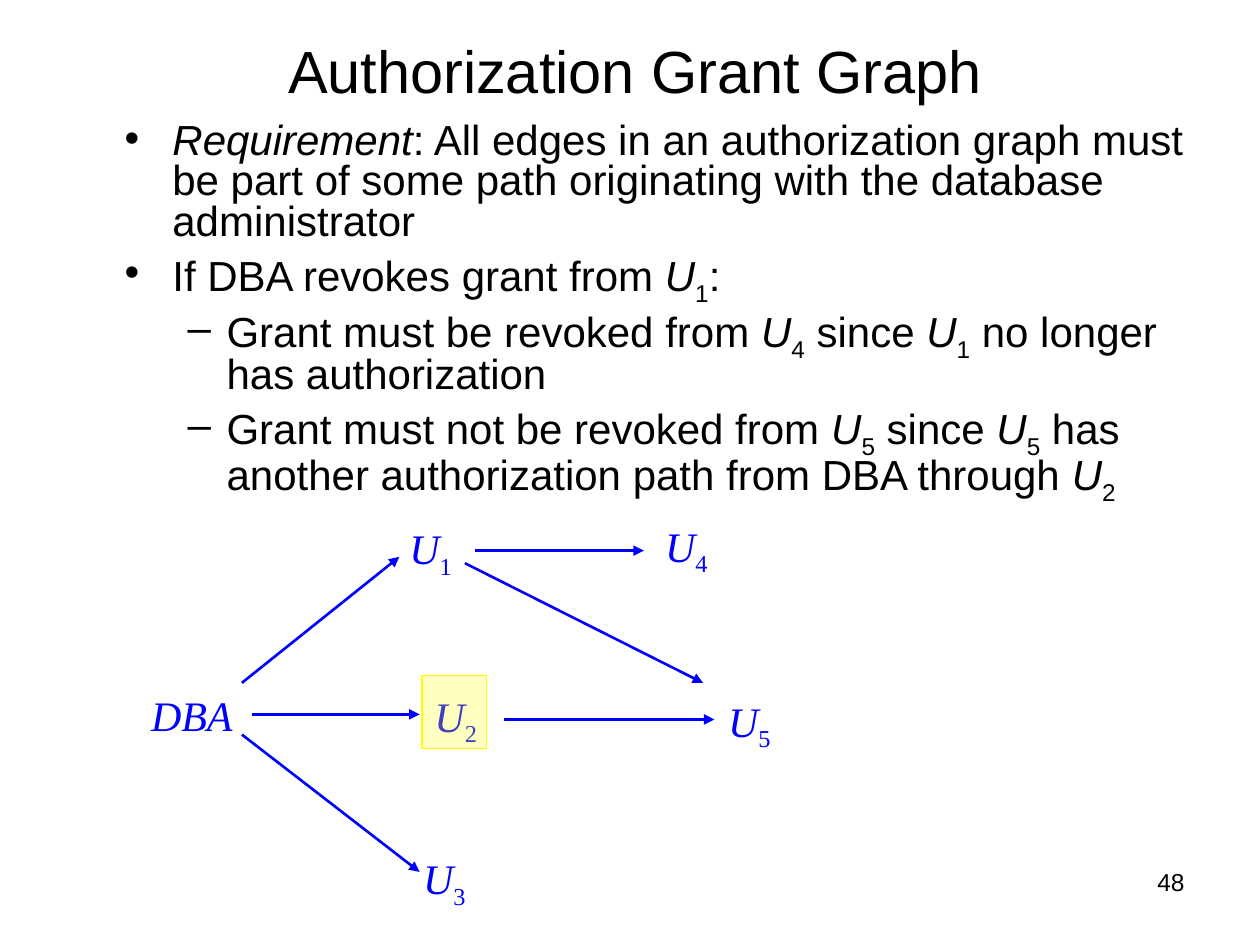
from typing import NamedTuple

from lxml import etree
from pptx import Presentation, util as u
from pptx.dml import color
from pptx.enum import shapes, text
from pptx.oxml import ns

HUES = {"ink": "000000", "graph": "0000FF", "mark": "FFFF00"}


class Item(NamedTuple):
    """One paragraph; in its words, | parts runs, * is italic, _ subscript."""
    words: str
    level: int = 0
    bullet: str = ""


class Node(NamedTuple):
    label: str
    left: float
    top: float
    width: float = 0.54
    height: float = 0.56


class Edge(NamedTuple):
    x1: float
    y1: float
    x2: float
    y2: float


INDENTS = ((0.38, -0.38), (0.81, -0.31))
ITEMS = [
    Item("*Requirement|: All edges in an authorization graph must be part of "
         "some path originating with the database administrator", 0, "•"),
    Item("If DBA revokes grant from |*U|_1|:", 0, "•"),
    Item("Grant must be revoked from |*U|_4| since |*U|_1| no longer has "
         "authorization", 1, "–"),
    Item("Grant must not be revoked from |*U|_5| since |*U|_5| has another "
         "authorization path from DBA through |*U|_2", 1, "–"),
]
NODES = [
    Node("*U|_1", 3.15, 4.1),
    Node("*U|_2", 3.35, 5.43),
    Node("*U|_5", 5.68, 5.47),
    Node("*U|_3", 3.26, 6.72),
    Node("*DBA", 1.1, 5.42, 0.85, 0.5),
    Node("*U|_4", 5.18, 4.08),
]
EDGES = [
    Edge(1.92, 5.42, 3.17, 4.42),
    Edge(3.77, 4.37, 5.11, 4.37),
    Edge(2, 5.67, 3.33, 5.67),
    Edge(1.92, 5.83, 3.33, 6.92),
    Edge(4, 5.71, 5.67, 5.71),
    Edge(3.69, 4.47, 5.58, 5.42),
]


def hue(name: str) -> color.RGBColor:
    return color.RGBColor.from_string(HUES[name])


def add_sub(parent, tag: str, **attrs: str):
    return etree.SubElement(parent, ns.qn(tag), **attrs)


def set_bullet(para, item: Item) -> None:
    left, hang = INDENTS[item.level]
    props = para._p.get_or_add_pPr()
    props.set("marL", str(u.Inches(left)))
    props.set("indent", str(u.Inches(hang)))
    tint = add_sub(props, "a:buClr")
    add_sub(tint, "a:srgbClr", val=HUES["ink"])
    add_sub(props, "a:buFont", typeface="Arial")
    add_sub(props, "a:buChar", char=item.bullet)


def add_text(slide, box, items, *, size=24, font="Arial", tint="ink",
             align=text.PP_ALIGN.LEFT, anchor=text.MSO_ANCHOR.TOP,
             wrap=True, fit=False, lines=None, gap=0) -> None:
    frame = slide.shapes.add_textbox(*map(u.Inches, box)).text_frame
    frame.word_wrap = wrap
    frame.vertical_anchor = anchor
    if fit:
        frame.auto_size = text.MSO_AUTO_SIZE.SHAPE_TO_FIT_TEXT
    for n, item in enumerate(items):
        para = frame.add_paragraph() if n else frame.paragraphs[0]
        para.level = item.level
        para.alignment = align
        if item.bullet:
            set_bullet(para, item)
        if lines:
            para.line_spacing = lines
        if n:
            para.space_before = u.Pt(gap)
        for part in item.words.split("|"):
            run = para.add_run()
            run.text = part.lstrip("*_")
            run.font.size = u.Pt(size)
            run.font.name = font
            run.font.color.rgb = hue(tint)
            run.font.italic = part.startswith("*")
            if part.startswith("_"):
                run._r.get_or_add_rPr().set("baseline", "-25000")


def add_edge(slide, edge: Edge) -> None:
    line = slide.shapes.add_connector(
        shapes.MSO_CONNECTOR.STRAIGHT, *map(u.Inches, edge))
    line.line.color.rgb = hue("graph")
    line.line.width = u.Pt(1.5)
    add_sub(line.line._get_or_add_ln(), "a:tailEnd", type="triangle")
    add_sub(line._element.spPr, "a:effectLst")


def add_mark(slide, box) -> None:
    """Lay a see-through highlight over a node."""
    mark = slide.shapes.add_shape(
        shapes.MSO_SHAPE.RECTANGLE, *map(u.Inches, box))
    mark.shadow.inherit = False
    mark.fill.solid()
    mark.fill.fore_color.rgb = hue("mark")
    fill = mark._element.spPr.find(ns.qn("a:solidFill"))
    add_sub(fill[0], "a:alpha", val="25000")
    mark.line.color.rgb = hue("mark")
    mark.line.width = u.Pt(0.75)


def main() -> None:
    deck = Presentation()
    deck.slide_width, deck.slide_height = u.Inches(10), u.Inches(7.5)
    slide = deck.slides.add_slide(deck.slide_layouts[6])
    add_text(slide, (7.17, 6.83, 2.33, 0.52), [Item("48")], size=14,
             align=text.PP_ALIGN.RIGHT)
    add_text(slide, (0.54, 0, 9, 1.11), [Item("Authorization Grant Graph")],
             size=34, align=text.PP_ALIGN.CENTER,
             anchor=text.MSO_ANCHOR.MIDDLE)
    add_text(slide, (0.89, 0.93, 8.68, 3.2), ITEMS, lines=0.8, gap=6)
    for edge in EDGES:
        add_edge(slide, edge)
    for node in NODES:
        add_text(slide, node[1:], [Item(node.label)], font="Times New Roman",
                 tint="graph", wrap=False, fit=True)
    add_mark(slide, (3.35, 5.36, 0.51, 0.58))
    deck.save("out.pptx")


if __name__ == "__main__":
    main()
